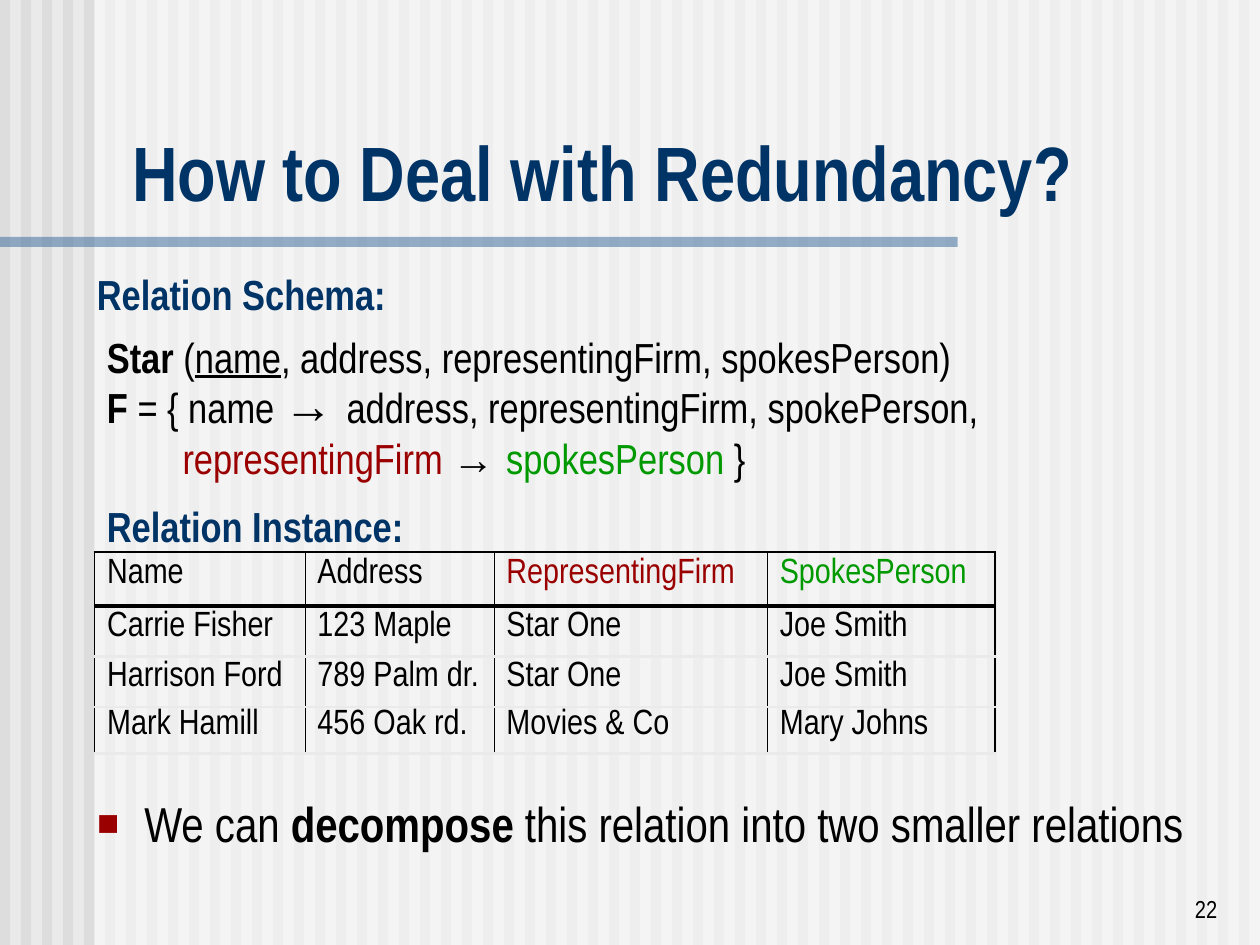
from dataclasses import dataclass

import pptx
import pptx.dml.color
import pptx.enum.shapes
import pptx.enum.text
import pptx.oxml
import pptx.oxml.ns
import pptx.util
from pptx.util import Inches

COLORS = {
    "background": "EAEAEA", "stripe": "DDDDDD", "veil": "FFFFFF", "rule": "336699",
    "heading": "003366", "text": "000000", "firm": "9A0000", "person": "009900",
}
ALIGN = pptx.enum.text.PP_ALIGN
ANCHOR = pptx.enum.text.MSO_ANCHOR
FIT = pptx.enum.text.MSO_AUTO_SIZE


@dataclass
class Run:
    text: str
    size: float = 24
    color: str = "text"
    bold: bool = False
    underline: bool = False
    font: str = "Arial Narrow"


@dataclass
class TextBox:
    box: tuple[float, float, float, float]
    lines: list[list[Run]]
    align: int = ALIGN.LEFT
    anchor: int = ANCHOR.TOP
    wrap: bool = True
    fit: int = FIT.SHAPE_TO_FIT_TEXT


@dataclass
class Border:
    color: str
    width: float


def rgb(name: str) -> pptx.dml.color.RGBColor:
    return pptx.dml.color.RGBColor.from_string(COLORS[name])


def set_values(target, values: dict) -> None:
    for name, value in values.items():
        setattr(target, name, value)


def add_xml(parent, xml: str, index: int | None = None) -> None:
    tag, rest = xml.split(" ", 1)
    element = pptx.oxml.parse_xml(f"<{tag} {pptx.oxml.ns.nsdecls('a')} {rest}")
    parent.insert(len(parent) if index is None else index, element)


def write_runs(paragraph, runs: list[Run]) -> None:
    for item in runs:
        run = paragraph.add_run()
        run.text = item.text
        set_values(run.font, {
            "name": item.font, "size": pptx.util.Pt(item.size),
            "bold": item.bold, "underline": item.underline})
        run.font.color.rgb = rgb(item.color)


def place(shape, box: tuple[float, float, float, float]) -> None:
    set_values(shape, dict(zip(("left", "top", "width", "height"), map(Inches, box))))


def add_bar(slide, box: tuple[float, float, float, float], color: str, opacity: int = 100) -> None:
    shape = slide.shapes.add_shape(
        pptx.enum.shapes.MSO_SHAPE.RECTANGLE, *map(Inches, box))
    shape.shadow.inherit = False
    shape.fill.solid()
    shape.fill.fore_color.rgb = rgb(color)
    shape.line.fill.background()
    if opacity < 100:
        fill_color = shape._element.spPr.find(".//" + pptx.oxml.ns.qn("a:srgbClr"))
        add_xml(fill_color, f'a:alpha val="{opacity * 1000}"/>')


def add_text(slide, item: TextBox) -> pptx.shapes.autoshape.Shape:
    shape = slide.shapes.add_textbox(*map(Inches, item.box))
    frame = shape.text_frame
    set_values(frame, {
        "word_wrap": item.wrap, "auto_size": item.fit, "vertical_anchor": item.anchor})
    for index, runs in enumerate(item.lines):
        paragraph = frame.add_paragraph() if index else frame.paragraphs[0]
        paragraph.alignment = item.align
        write_runs(paragraph, runs)
    return shape


def set_borders(cell, borders: dict[str, Border]) -> None:
    properties = cell._tc.get_or_add_tcPr()
    for index, (side, border) in enumerate(borders.items()):
        add_xml(properties, (
            f'a:ln{side} w="{round(border.width * 12700)}"><a:solidFill>'
            f'<a:srgbClr val="{COLORS[border.color]}"/></a:solidFill></a:ln{side}>'), index)


def add_relation_table(slide) -> None:
    rows = [
        ["Name", "Address", "RepresentingFirm", "SpokesPerson"],
        ["Carrie Fisher", "123 Maple", "Star One", "Joe Smith"],
        ["Harrison Ford", "789 Palm dr.", "Star One", "Joe Smith"],
        ["Mark Hamill", "456 Oak rd.", "Movies & Co", "Mary Johns"],
    ]
    widths, heights = [1.67, 1.5, 2.17, 1.81], [0.43, 0.4, 0.4, 0.37]
    spacings = [1.0, 0.9, 0.9, 0.8]
    header_colors = ["text", "text", "firm", "person"]
    outer, inner = Border("text", 1.08), Border("text", 0.45)
    faint = Border("background", 1.47)
    vertical = [outer, inner, inner, inner, outer]
    horizontal = [outer, Border("text", 3), faint, faint, faint]

    table = slide.shapes.add_table(
        len(rows), len(widths), Inches(0.75), Inches(4.38),
        Inches(sum(widths)), Inches(sum(heights))).table
    set_values(table, {"first_row": False, "horz_banding": False})
    for column, width in zip(table.columns, widths):
        column.width = Inches(width)
    for r, values in enumerate(rows):
        table.rows[r].height = Inches(heights[r])
        for c, value in enumerate(values):
            cell = table.cell(r, c)
            cell.fill.background()
            set_borders(cell, {"L": vertical[c], "R": vertical[c + 1],
                               "T": horizontal[r], "B": horizontal[r + 1]})
            paragraph = cell.text_frame.paragraphs[0]
            paragraph.line_spacing = spacings[r]
            write_runs(paragraph, [Run(value, 20, "text" if r else header_colors[c])])


def main() -> None:
    presentation = pptx.Presentation()
    set_values(presentation, {"slide_width": Inches(10), "slide_height": Inches(7.5)})
    slide = presentation.slides.add_slide(presentation.slide_layouts[1])
    slide.background.fill.solid()
    slide.background.fill.fore_color.rgb = rgb("background")

    # Striped backdrop and title rule
    for index in range(60):
        add_bar(slide, (index / 6, 0, 0.08, 7.5), "stripe")
    add_bar(slide, (0.75, 0, 9.25, 7.5), "veil", 50)
    add_bar(slide, (0, 1.88, 7.6, 0.08), "rule", 50)

    # Title and body go in front of the backdrop
    title, body = slide.placeholders
    for placeholder, box, anchor in ((title, (0.95, 0.94, 8.93, 0.83), ANCHOR.BOTTOM),
                                     (body, (0.67, 6.25, 8.87, 0.92), ANCHOR.TOP)):
        slide.shapes._spTree.append(placeholder._element)
        place(placeholder, box)
        set_values(placeholder.text_frame, {
            "vertical_anchor": anchor, "word_wrap": True, "auto_size": FIT.NONE})
    paragraph = title.text_frame.paragraphs[0]
    paragraph.alignment = ALIGN.LEFT
    write_runs(paragraph, [Run("How to Deal with Redundancy?", 44, "heading", True)])

    paragraph = body.text_frame.paragraphs[0]
    properties = paragraph._p.get_or_add_pPr()
    set_values(properties, {"marL": Inches(0.38), "indent": Inches(-0.38)})
    for xml in (f'a:buClr ><a:srgbClr val="{COLORS["firm"]}"/></a:buClr>',
                'a:buSzPct val="75000"/>', 'a:buFont typeface="Arial"/>',
                'a:buChar char="■"/>'):
        add_xml(properties, xml)
    paragraph.space_before = pptx.util.Pt(0)
    write_runs(paragraph, [
        Run("We can ", 28), Run("decompose", 28, bold=True),
        Run(" this relation into two smaller relations", 28)])

    add_relation_table(slide)

    # Section headings, with room to stay on one line
    for text, box in (("Relation Instance:", (0.65, 3.92, 2.75, 0.5)),
                      ("Relation Schema:", (0.57, 2.08, 2.69, 0.5))):
        add_text(slide, TextBox(
            box, [[Run(text, color="heading", bold=True)]], ALIGN.CENTER, wrap=False))

    # Schema and functional dependencies
    add_text(slide, TextBox((0.75, 2.58, 7.67, 0.5), [[
        Run("Star", bold=True), Run(" ("), Run("name", underline=True),
        Run(", address, representingFirm, spokesPerson)")]]))
    dependencies = add_text(slide, TextBox((0.75, 2.92, 7.58, 0.97), [
        [Run("F", bold=True), Run(" = { name "), Run("→ ", 28, bold=True, font="Arial"),
         Run("address, representingFirm, spokePerson,")],
        [Run("representingFirm ", color="firm"), Run("→ ", bold=True, font="Arial"),
         Run("spokesPerson", color="person"), Run(" }")]]))
    second_line = dependencies.text_frame.paragraphs[1]
    second_line._p.get_or_add_pPr().set("marL", str(Inches(0.6)))

    # Page number
    add_text(slide, TextBox((7.68, 6.88, 2.08, 0.5), [[Run("22", 14)]],
                            ALIGN.RIGHT, ANCHOR.BOTTOM, fit=FIT.NONE))
    presentation.save("out.pptx")


if __name__ == "__main__":
    main()
